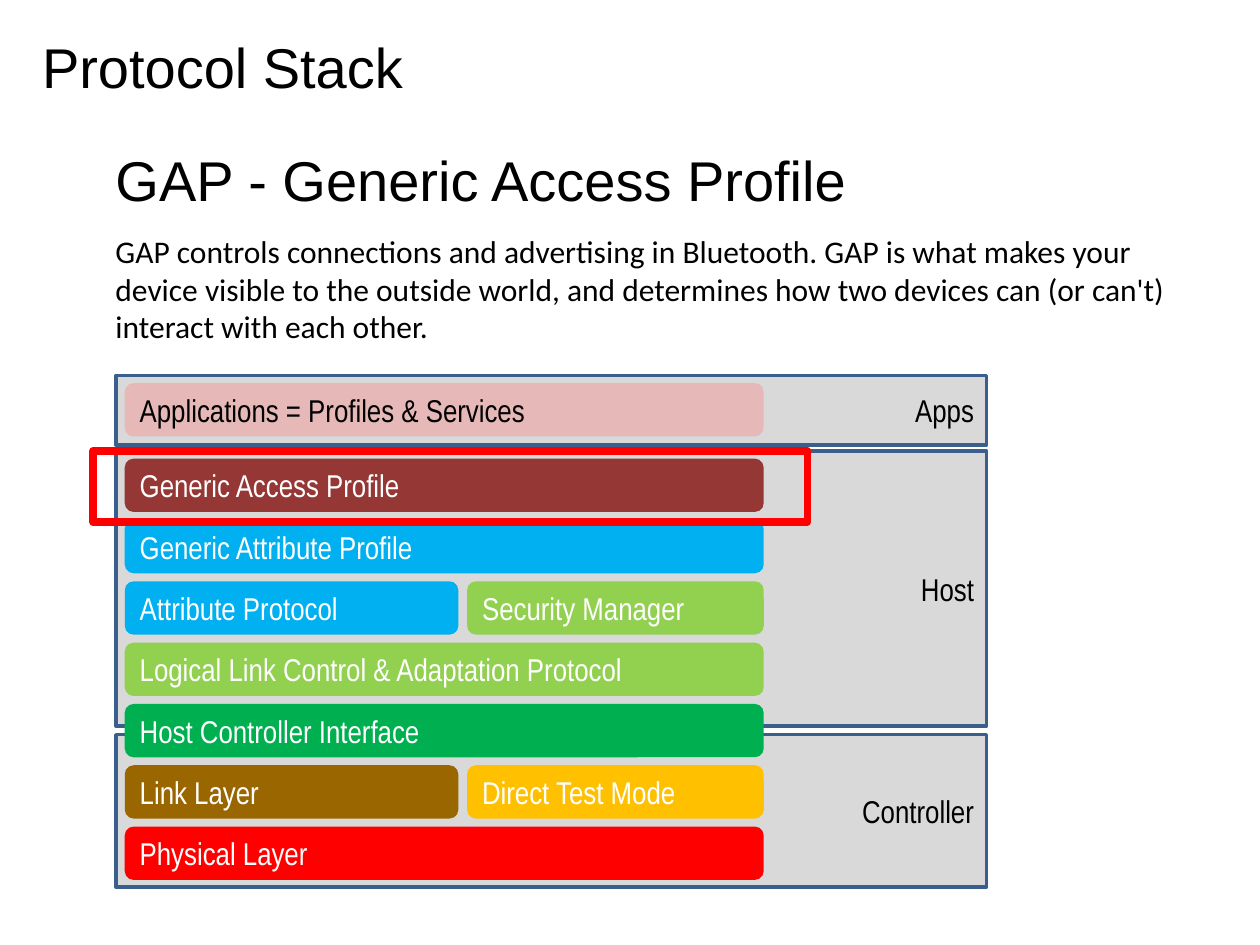
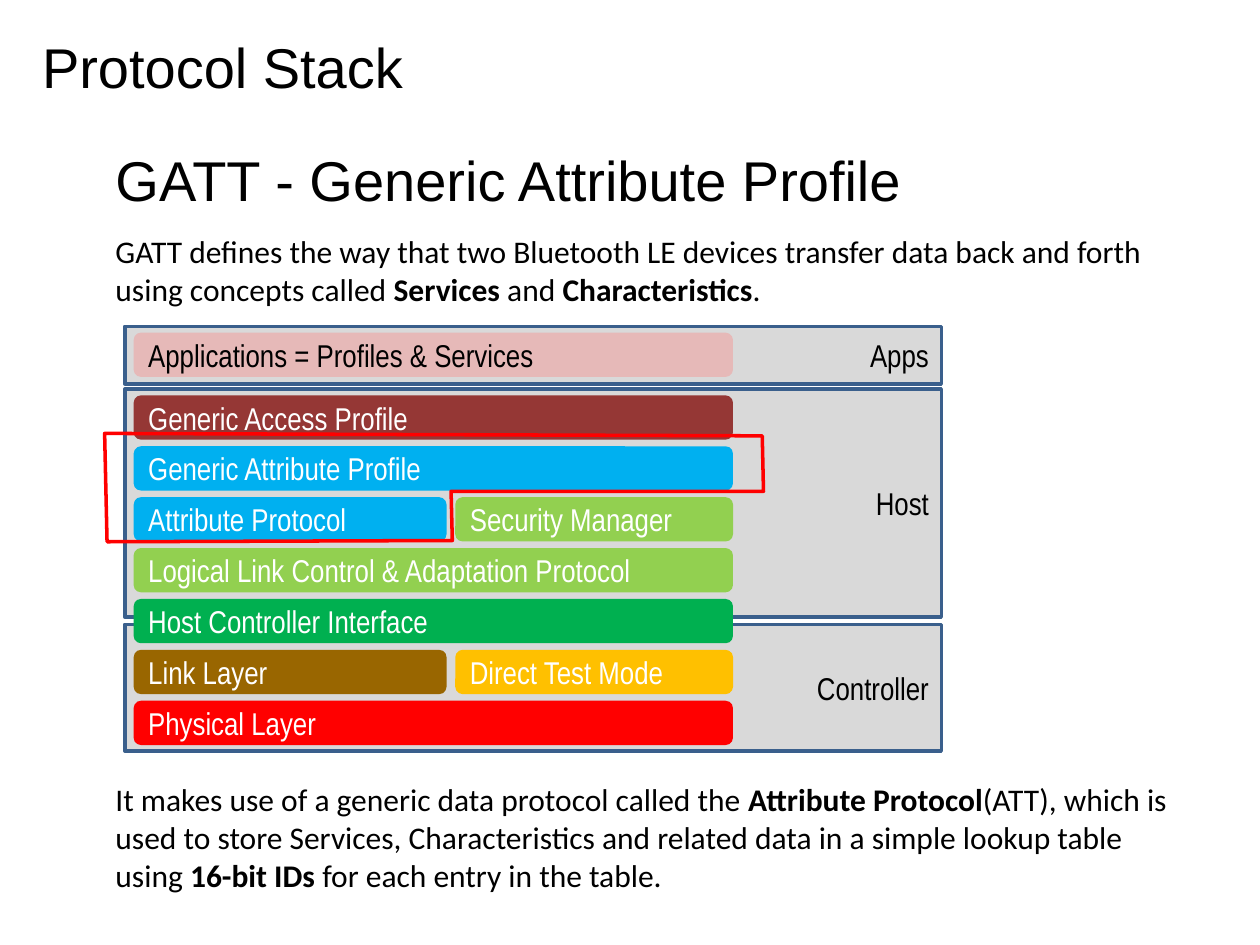
from pptx import Presentation, util as u
from pptx.dml.color import RGBColor
from pptx.enum import shapes, text
from pptx.oxml import ns
from lxml import etree

BLACK = RGBColor(0x00, 0x00, 0x00)
WHITE = RGBColor(0xFF, 0xFF, 0xFF)
GREY = RGBColor(0xD9, 0xD9, 0xD9)
NAVY = RGBColor(0x3A, 0x5F, 0x8C)
PINK = RGBColor(0xE6, 0xB9, 0xB8)
MAROON = RGBColor(0x95, 0x37, 0x35)
BLUE = RGBColor(0x00, 0xB0, 0xF0)
LIME = RGBColor(0x92, 0xD0, 0x50)
GREEN = RGBColor(0x00, 0xB0, 0x50)
BROWN = RGBColor(0x99, 0x66, 0x00)
AMBER = RGBColor(0xFF, 0xC0, 0x00)
RED = RGBColor(0xFF, 0x00, 0x00)

# Content; ** switches bold on and off
SECTION = "Protocol Stack"
GAP_TITLE = "GAP - Generic Access Profile"
GAP_TEXT = ("GAP controls connections and advertising in Bluetooth. GAP is what makes your "
            "device visible to the outside world, and determines how two devices can "
            "(or can't) interact with each other.")
GATT_TITLE = "GATT - Generic Attribute Profile"
GATT_TEXT = ("GATT defines the way that two Bluetooth LE devices transfer data back and forth "
             "using concepts called **Services **and **Characteristics**.")
ATT_TEXT = ("It makes use of a generic data protocol called the **Attribute Protocol**(ATT), "
            "which is used to store Services, Characteristics and related data in a simple "
            "lookup table using **16-bit IDs **for each entry in the table.")

# Stack frames: name, top and height at full scale
FRAMES = [("Controller", 205.2, 87.1), ("Host", 43.2, 157), ("Apps", 0, 39.6)]
APPLICATIONS = [("Applications = Profiles & Services", PINK, BLACK)]
LAYERS = [
    [("Generic Access Profile", MAROON, WHITE)],
    [("Generic Attribute Profile", BLUE, WHITE)],
    [("Attribute Protocol", BLUE, WHITE), ("Security Manager", LIME, WHITE)],
    [("Logical Link Control & Adaptation Protocol", LIME, WHITE)],
    [("Host Controller Interface", GREEN, WHITE)],
    [("Link Layer", BROWN, WHITE), ("Direct Test Mode", AMBER, WHITE)],
    [("Physical Layer", RED, WHITE)],
]
APPS_TOP, LAYERS_TOP, PITCH, BAR_HEIGHT = 4.3, 47.5, 35.04, 30.5
BAR_INSET, BAR_GAP, BAR_SHARE, LEFT_SHARE = 5.1, 5, 0.734, 0.522

ATT_OUTLINE = [(59.8, 247.7), (61.2, 309.6), (258.5, 308.9),
               (257.8, 280.8), (436.3, 280.8), (435.6, 249.1)]

MARGIN, BODY_WIDTH = 66, 612


def write(shape, words, font="Calibri", size=18, color=BLACK,
          align=text.PP_ALIGN.LEFT, anchor=text.MSO_ANCHOR.TOP, inset=0):
    """Fill a shape with one paragraph, bold between ** marks."""
    frame = shape.text_frame
    frame.word_wrap = True
    frame.auto_size = text.MSO_AUTO_SIZE.NONE
    frame.vertical_anchor = anchor
    frame.margin_left = frame.margin_right = u.Pt(inset)
    frame.margin_top = frame.margin_bottom = u.Pt(inset / 2)
    para = frame.paragraphs[0]
    para.alignment = align
    para.space_before = u.Pt(0)
    for i, part in enumerate(words.split("**")):
        span = para.add_run()
        span.text = part
        span.font.name, span.font.size = font, u.Pt(size)
        span.font.color.rgb = color
        span.font.bold = i % 2 == 1
    return para


def place(shape, left, top, width, height):
    shape.left, shape.top = u.Pt(left), u.Pt(top)
    shape.width, shape.height = u.Pt(width), u.Pt(height)


def style(shape, fill=None, line=None, weight=2):
    shape.shadow.inherit = False
    if fill is None:
        shape.fill.background()
    else:
        shape.fill.solid()
        shape.fill.fore_color.rgb = fill
    if line is None:
        shape.line.fill.background()
    else:
        shape.line.color.rgb = line
        shape.line.width = u.Pt(weight)


def add_box(parent, kind, left, top, width, height, **look):
    box = parent.shapes.add_shape(kind, *map(u.Pt, (left, top, width, height)))
    style(box, **look)
    return box


def add_text(page, words, left, top, width, height, **form):
    write(page.shapes.add_textbox(*map(u.Pt, (left, top, width, height))), words, **form)


def add_page(deck, title, body):
    page = deck.slides.add_slide(deck.slide_layouts[1])
    heading, copy = page.placeholders
    place(heading, MARGIN, 83, 466, 40)
    write(heading, title, font="Arial", size=32)
    place(copy, MARGIN, 132.5, BODY_WIDTH, 68)
    para = write(copy, body)
    props = para._p.get_or_add_pPr()
    props.set("marL", "0")
    props.set("indent", "0")
    etree.SubElement(props, ns.qn("a:buNone"))
    add_text(page, SECTION, 24, 18.7, 466, 39, font="Arial", size=32)
    return page


def add_stack(page, left, top, width, scale):
    """Draw the frames and layers; scale acts on heights only."""
    group = page.shapes.add_group_shape()
    label = dict(font="Arial Narrow", anchor=text.MSO_ANCHOR.MIDDLE, inset=7.2)
    for name, offset, height in FRAMES:
        frame = add_box(group, shapes.MSO_SHAPE.RECTANGLE, left, top + offset * scale,
                        width, height * scale, fill=GREY, line=NAVY)
        write(frame, name, align=text.PP_ALIGN.RIGHT, **label)

    bar_width = width * BAR_SHARE
    left_width = bar_width * LEFT_SHARE
    rows = [(APPS_TOP, APPLICATIONS)]
    rows += [(LAYERS_TOP + i * PITCH, layer) for i, layer in enumerate(LAYERS)]
    for offset, bars in rows:
        widths = [bar_width] if len(bars) == 1 else [left_width, bar_width - left_width - BAR_GAP]
        x = left + BAR_INSET
        for (name, fill, color), w in zip(bars, widths):
            bar = add_box(group, shapes.MSO_SHAPE.ROUNDED_RECTANGLE, x, top + offset * scale,
                          w, BAR_HEIGHT * scale, fill=fill)
            write(bar, name, color=color, **label)
            x += w + BAR_GAP


def main():
    deck = Presentation()
    deck.slide_width, deck.slide_height = u.Pt(720), u.Pt(540)

    # Generic Access Profile
    page = add_page(deck, GAP_TITLE, GAP_TEXT)
    add_stack(page, 66.2, 214.6, 497.5, 1)
    add_box(page, shapes.MSO_SHAPE.RECTANGLE, 53.3, 257.8, 408.2, 40.3, line=RED, weight=4.5)

    # Generic Attribute Profile
    page = add_page(deck, GATT_TITLE, GATT_TEXT)
    add_stack(page, 71.3, 186.5, 466.6, 0.83)
    points = [(u.Pt(x), u.Pt(y)) for x, y in ATT_OUTLINE]
    builder = page.shapes.build_freeform(*points[0])
    builder.add_line_segments(points[1:], close=True)
    style(builder.convert_to_shape(), line=RED)
    add_text(page, ATT_TEXT, MARGIN, 445.7, 605, 66)

    deck.save("out.pptx")


if __name__ == "__main__":
    main()
